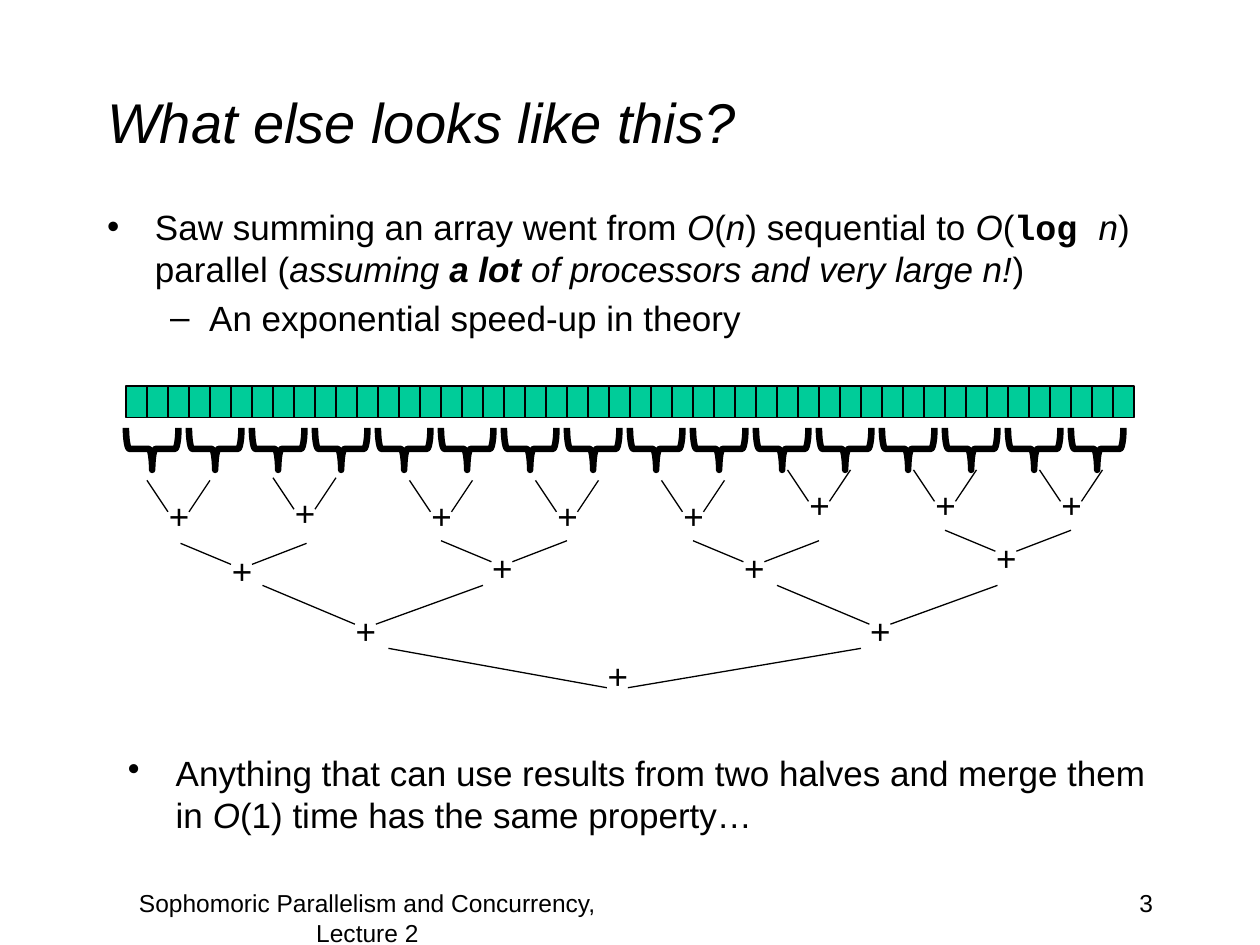
"""Build a slide on parallel summing with a reduction tree under an array."""
import dataclasses

import lxml.etree
import pptx
import pptx.dml.color
import pptx.enum.shapes
import pptx.enum.text
import pptx.oxml.ns
import pptx.util

ALIGN = pptx.enum.text.PP_ALIGN
SHAPE = pptx.enum.shapes.MSO_SHAPE


@dataclasses.dataclass(frozen=True)
class Theme:
    """Colours, fonts and type sizes of the slide."""
    ink: pptx.dml.color.RGBColor = pptx.dml.color.RGBColor(0, 0, 0)
    cell: pptx.dml.color.RGBColor = pptx.dml.color.RGBColor(0x00, 0xCC, 0x99)
    font: str = "Arial"
    code_font: str = "Courier New"
    title_size: int = 32
    body_size: int = 20
    footer_size: int = 14
    thin: float = 0.75
    thick: float = 3.75


@dataclasses.dataclass(frozen=True)
class Level:
    """One tree level; lengths are grid units and nodes are (left, top) corners."""
    span: float
    inset: float
    drop: float
    sign_drop: float
    nodes: tuple


THEME = Theme()
COLUMNS, ROWS = 120, 90
CELL_COUNT, BRACE_COUNT = 48, 16
BULLETS = (("•", 0.38, 0.38), ("–", 0.81, 0.31))
LEVELS = (
    Level(6, 2, 3, 0.75, (
        (14, 45.75), (26, 45.5), (39, 45.75), (51, 45.75),
        (63, 45.75), (75, 44.75), (87, 44.75), (99, 44.75))),
    Level(12, 4.8, 2, 0, ((17.2, 51.75), (42, 51.5), (66, 51.5), (90, 50.5))),
    Level(21, 8.8, 3.7, 1.7, ((25, 55.75), (74, 55.75))),
    Level(45, 20.8, 3.75, 0, ((37, 61.75),)),
)
SUMMING = (
    ("Saw summing an array went from ", ""), ("O", "i"), ("(", ""), ("n", "i"),
    (") sequential to ", ""), ("O", "i"), ("(", ""), ("log ", "bc"), ("n", "i"),
    (") parallel (", ""), ("assuming ", "i"), ("a lot", "bi"),
    (" of processors and very large n!", "i"), (")", ""),
)
SPEED_UP = (("An exponential speed-up in theory", ""),)
MERGING = (
    ("Anything that can use results from two halves and merge them in ", ""),
    ("O", "i"), ("(1) time has the same property…", ""),
)


def grid(*lengths):
    """Turn grid units into slide lengths."""
    return [pptx.util.Inches(length * 10 / COLUMNS) for length in lengths]


def place(shape, box):
    """Move a shape to a grid box."""
    shape.left, shape.top, shape.width, shape.height = grid(*box)


def set_font(paragraph, size, italic=None):
    """Give a whole paragraph its font."""
    font = paragraph.font
    font.name, font.size, font.italic = THEME.font, pptx.util.Pt(size), italic
    font.color.rgb = THEME.ink


def set_bullet(paragraph, level):
    """Give a paragraph the bullet and hanging indent of its level."""
    character, margin, hanging = BULLETS[level]
    paragraph.level = level
    paragraph.space_before = pptx.util.Pt(THEME.body_size * 0.2)
    properties = paragraph._p.get_or_add_pPr()
    properties.set("marL", str(pptx.util.Inches(margin)))
    properties.set("indent", str(-pptx.util.Inches(hanging)))
    bullet = lxml.etree.SubElement(properties, pptx.oxml.ns.qn("a:buChar"))
    bullet.set("char", character)


def fill_list(frame, items):
    """Write bulleted items, each a tuple of (text, style letters)."""
    frame.word_wrap = True
    frame.auto_size = pptx.enum.text.MSO_AUTO_SIZE.NONE
    for index, (level, pieces) in enumerate(items):
        paragraph = frame.add_paragraph() if index else frame.paragraphs[0]
        set_bullet(paragraph, level)
        set_font(paragraph, THEME.body_size)
        for text, style in pieces:
            run = paragraph.add_run()
            run.text = text
            if "b" in style:
                run.font.bold = True
            if "i" in style:
                run.font.italic = True
            if "c" in style:
                run.font.name = THEME.code_font


def add_label(slide, box, text, size, alignment=ALIGN.LEFT):
    """Add a text box with one line of plain text."""
    frame = slide.shapes.add_textbox(*grid(*box)).text_frame
    frame.word_wrap = True
    paragraph = frame.paragraphs[0]
    paragraph.text, paragraph.alignment = text, alignment
    set_font(paragraph, size)


def add_outline(slide, kind, box, width):
    """Add an unfilled preset shape with a black line."""
    shape = slide.shapes.add_shape(kind, *grid(*box))
    shape.shadow.inherit = False
    shape.fill.background()
    shape.line.color.rgb, shape.line.width = THEME.ink, pptx.util.Pt(width)
    return shape


def add_line(slide, *ends):
    """Add a thin straight line between two grid points."""
    line = slide.shapes.add_connector(
        pptx.enum.shapes.MSO_CONNECTOR.STRAIGHT, *grid(*ends))
    line.line.color.rgb, line.line.width = THEME.ink, pptx.util.Pt(THEME.thin)
    lxml.etree.SubElement(line._element.spPr, pptx.oxml.ns.qn("a:effectLst"))


def add_array(slide):
    """Add the row of cells and the braces that group them."""
    for index in range(CELL_COUNT):
        cell = add_outline(
            slide, SHAPE.RECTANGLE, (12 + 2 * index, 36.75, 2, 3), THEME.thin)
        cell.fill.solid()
        cell.fill.fore_color.rgb = THEME.cell
    for index in range(BRACE_COUNT):
        brace = add_outline(
            slide, SHAPE.LEFT_BRACE, (12.5 + 6 * index, 40.25, 4, 5), THEME.thick)
        brace.rotation = 270


def add_join(slide, level, left, top):
    """Add two branches that meet at a plus sign."""
    meet, bottom = left + level.inset, top + level.drop
    add_line(slide, left, top, meet, bottom)
    add_line(slide, left + level.span, top, meet + 2, bottom)
    add_label(slide, (meet - 1.1, top + level.sign_drop, 4.3, 5.25),
              "+", THEME.body_size)


def main():
    """Build and save the slide."""
    presentation = pptx.Presentation()
    presentation.slide_width, presentation.slide_height = grid(COLUMNS, ROWS)
    slide = presentation.slides.add_slide(presentation.slide_layouts[1])

    title, body = slide.shapes.title, slide.placeholders[1]
    place(title, (9, 4, 102, 15))
    title.text_frame.text = "What else looks like this?"
    title.text_frame.vertical_anchor = pptx.enum.text.MSO_ANCHOR.MIDDLE
    heading = title.text_frame.paragraphs[0]
    heading.alignment = ALIGN.LEFT
    set_font(heading, THEME.title_size, italic=True)

    place(body, (9, 19, 102, 15))
    fill_list(body.text_frame, ((0, SUMMING), (1, SPEED_UP)))

    add_label(slide, (86, 84, 25, 6), "3", THEME.footer_size, ALIGN.RIGHT)
    add_label(slide, (8, 84, 54, 6),
              "Sophomoric Parallelism and Concurrency, Lecture 2",
              THEME.footer_size, ALIGN.CENTER)

    add_array(slide)
    for level in LEVELS:
        for left, top in level.nodes:
            add_join(slide, level, left, top)

    closing = slide.shapes.add_textbox(*grid(11, 71, 102, 10))
    fill_list(closing.text_frame, ((0, MERGING),))
    presentation.save("out.pptx")


if __name__ == "__main__":
    main()
